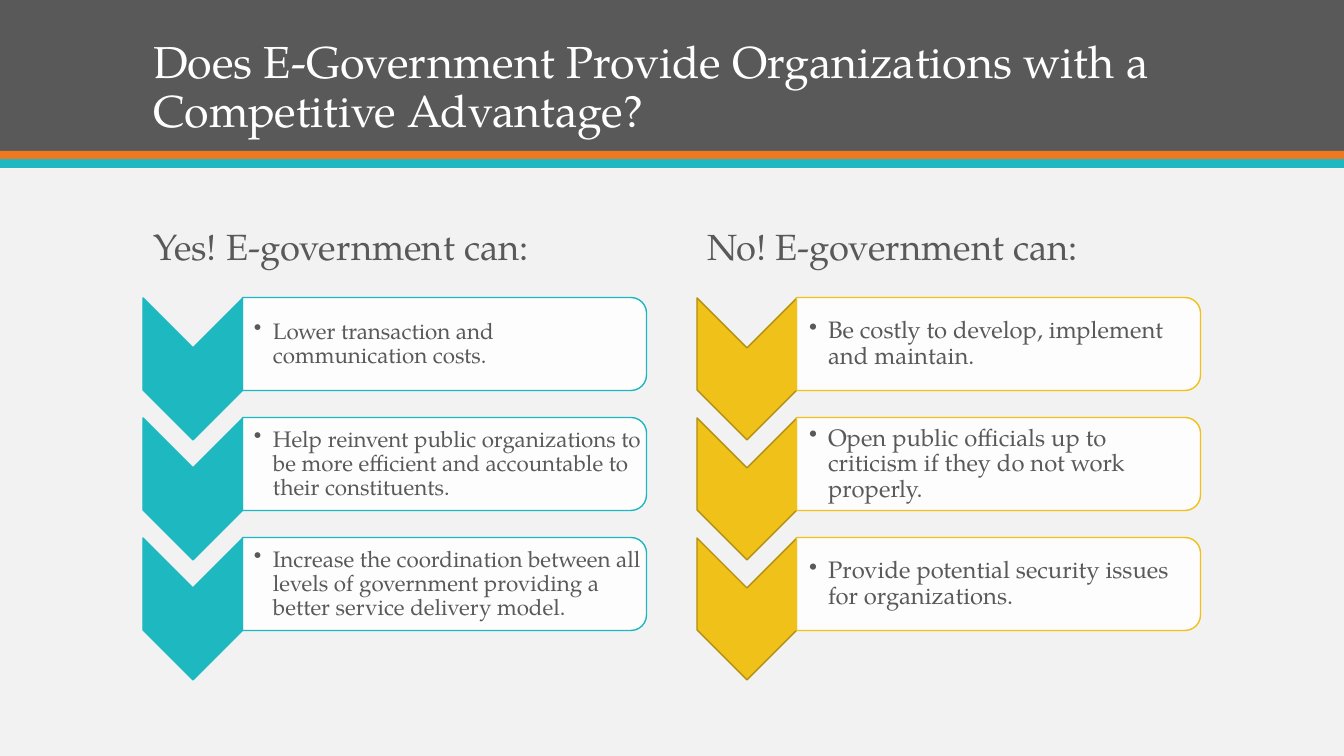
from lxml.etree import SubElement
from pptx import Presentation
from pptx.dml.color import RGBColor
from pptx.enum.shapes import MSO_SHAPE as Shape
from pptx.enum.text import MSO_ANCHOR as Anchor, MSO_AUTO_SIZE as AutoSize, PP_ALIGN as Align
from pptx.oxml.ns import qn
from pptx.util import Pt

EMU_PER_PIXEL = 914400 / 100.8
FONT = "TeX Gyre Pagella"
WHITE = RGBColor(0xFF, 0xFF, 0xFF)
PAPER = RGBColor(0xF2, 0xF2, 0xF2)
GRAY = RGBColor(0x59, 0x59, 0x59)
ORANGE = RGBColor(0xEF, 0x79, 0x20)
TEAL = RGBColor(0x1E, 0xB8, 0xC1)
GOLD = RGBColor(0xEF, 0xC1, 0x19)
DARK_GOLD = RGBColor(0xB1, 0x8F, 0x12)


def px(*lengths):
    return [round(length * EMU_PER_PIXEL) for length in lengths]


def write(holder, text, size, color, anchor):
    frame = holder.text_frame
    frame.text = text
    frame.word_wrap = True
    frame.auto_size = AutoSize.NONE
    frame.vertical_anchor = anchor
    paragraph = frame.paragraphs[0]
    paragraph.alignment = Align.LEFT
    paragraph.line_spacing = 0.9
    paragraph.space_before = Pt(0)
    font = paragraph.runs[0].font
    font.name, font.size, font.bold = FONT, Pt(size), False
    font.color.rgb = color
    return paragraph


deck = Presentation()
deck.slide_width, deck.slide_height = px(1344, 756)
slide = deck.slides.add_slide(deck.slide_layouts[4])
slide.background.fill.solid()
slide.background.fill.fore_color.rgb = PAPER

title, yes_heading, yes_content, no_heading, no_content = slide.placeholders
for unused in (yes_content, no_content):
    unused.element.getparent().remove(unused.element)

for top, height, color in ((0, 151, GRAY), (151, 8, ORANGE), (159, 9, TEAL)):
    band = slide.shapes.add_shape(Shape.RECTANGLE, *px(0, top, 1344, height))
    band.shadow.inherit = False
    band.fill.solid()
    band.fill.fore_color.rgb = color
    band.line.fill.background()
    title.element.addprevious(band.element)

title.left, title.top, title.width, title.height = px(143, 28, 1058, 114)
write(title, "Does E-Government Provide Organizations with a Competitive Advantage?",
      32, WHITE, Anchor.BOTTOM)

answers = (
    (yes_heading, "Yes! E-government can:", TEAL, TEAL, 16, 12, (
        "Lower transaction and communication costs.",
        "Help reinvent public organizations to be more efficient and accountable "
        "to their constituents.",
        "Increase the coordination between all levels of government providing "
        "a better service delivery model.")),
    (no_heading, "No! E-government can:", GOLD, DARK_GOLD, 17, 13, (
        "Be costly to develop, implement and maintain.",
        "Open public officials up to criticism if they do not work properly.",
        "Provide potential security issues for organizations.")),
)

for column, (heading, claim, color, edge, size, inset, reasons) in enumerate(answers):
    x = 143 + column * 554
    heading.left, heading.top, heading.width, heading.height = px(x, 202, 504, 94)
    write(heading, claim, 26, GRAY, Anchor.MIDDLE)

    for row, reason in enumerate(reasons):
        y = 298 + row * 120
        chevron = slide.shapes.add_shape(Shape.CHEVRON, *px(x - 21, y + 21, 142, 100))
        panel = slide.shapes.add_shape(
            Shape.ROUND_2_SAME_RECTANGLE, *px(x + 255, y - 156, 93, 404))
        for part, fill, outline in ((chevron, color, edge), (panel, WHITE, color)):
            part.rotation = 90
            part.shadow.inherit = False
            part.fill.solid()
            part.fill.fore_color.rgb = fill
            part.line.color.rgb = outline
            part.line.width = Pt(1)
        panel_color = panel.element.spPr.find(qn("a:solidFill"))[0]
        SubElement(panel_color, qn("a:alpha"), val="90000")

        label = slide.shapes.add_textbox(*px(x + 99, y + 4, 400, 84))
        frame = label.text_frame
        frame.margin_left, frame.margin_top, frame.margin_right, frame.margin_bottom = px(
            inset, 1, 1, 1)
        paragraph = write(label, reason, size, GRAY, Anchor.MIDDLE)
        indent = px(19)[0]
        properties = paragraph._p.get_or_add_pPr()
        properties.set("marL", str(indent))
        properties.set("indent", str(-indent))
        SubElement(properties, qn("a:buChar"), char="•")

deck.save("out.pptx")
